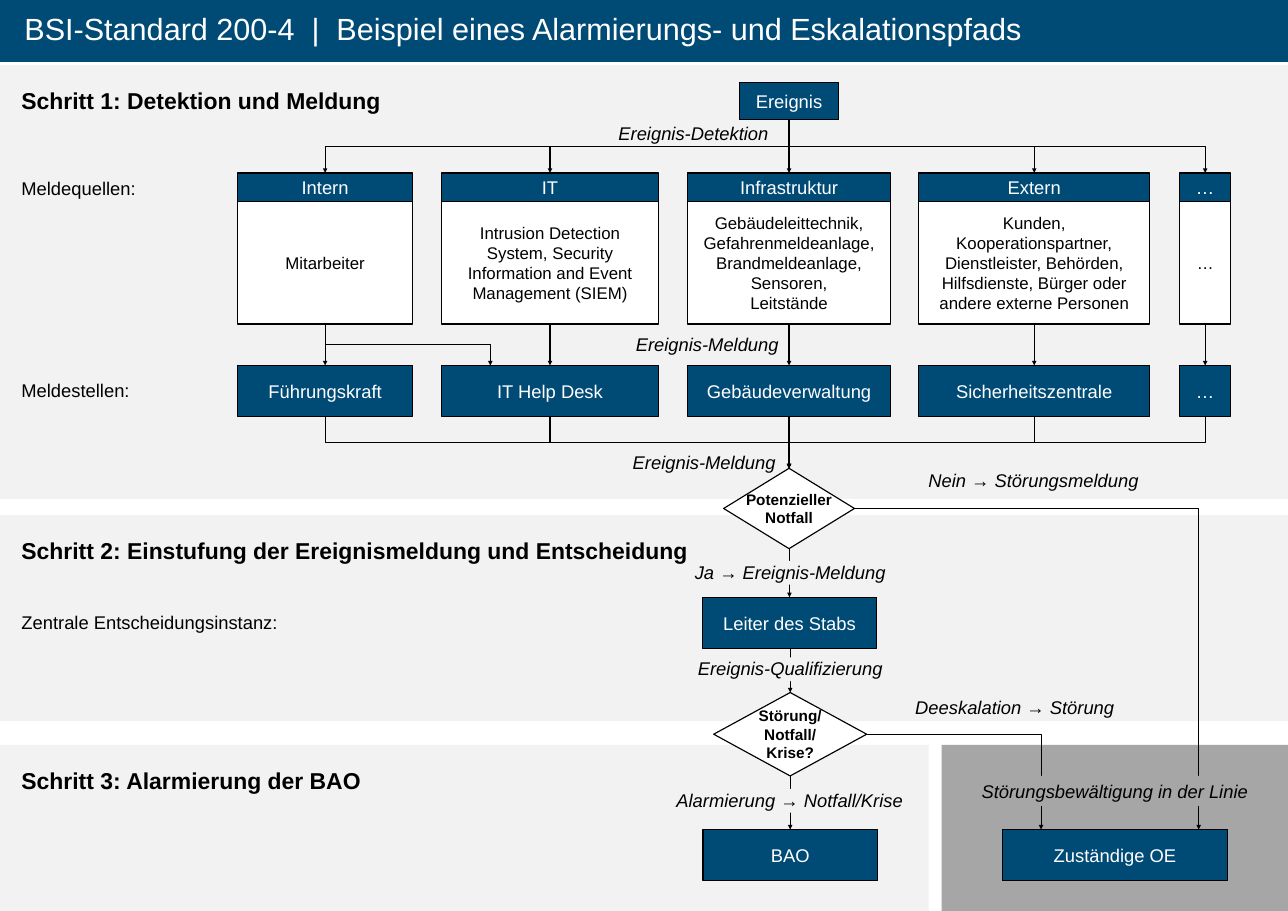
from dataclasses import dataclass
from typing import Any, Optional

from lxml import etree
from pptx import Presentation
from pptx import util as u
from pptx.dml.color import RGBColor
from pptx.enum import shapes, text
from pptx.oxml import ns

COLOURS = {"blue": "004B76", "pale": "F2F2F2", "grey": "A6A6A6",
           "white": "FFFFFF", "black": "000000"}
FORMATS: dict[str, dict[str, Any]] = {
    "title": {"size": u.Pt(40)},
    "step": {"size": u.Pt(30), "bold": True},
    "name": {"size": u.Pt(24)},
    "detail": {"size": u.Pt(22)},
    "question": {"size": u.Pt(20), "bold": True},
    "flow": {"size": u.Pt(24), "italic": True},
}
RECT = shapes.MSO_SHAPE.RECTANGLE
DIAMOND = shapes.MSO_SHAPE.FLOWCHART_DECISION
LEFT, CENTRE = text.PP_ALIGN.LEFT, text.PP_ALIGN.CENTER
TOP, MIDDLE = text.MSO_ANCHOR.TOP, text.MSO_ANCHOR.MIDDLE

PAGE_WIDTH, PAGE_HEIGHT = 1683.74, 1190.5
HEADER_TOP, DETAIL_TOP, DETAIL_BOTTOM = 226, 263.5, 423.5
DESK_TOP, BOX_HEIGHT, BOX_WIDTH = 477.5, 66.5, 228
DESK_BOTTOM = DESK_TOP + BOX_HEIGHT
LAST_TOP = 973.5
SIDE_INSET = 28


@dataclass
class Area:
    left: float
    top: float
    width: float
    height: float

    @property
    def right(self) -> float:
        return self.left + self.width

    @property
    def bottom(self) -> float:
        return self.top + self.height

    @property
    def centre(self) -> float:
        return self.left + self.width / 2

    @property
    def middle(self) -> float:
        return self.top + self.height / 2

    def lengths(self) -> list[u.Length]:
        return [u.Pt(v) for v in (self.left, self.top, self.width, self.height)]


@dataclass
class Panel:
    area: Area
    fill: str
    wording: str = ""


@dataclass
class Channel:
    """A source of reports and the desk that receives them."""
    left: float
    width: float
    source: str
    detail: str
    desk: str

    @property
    def centre(self) -> float:
        return self.left + self.width / 2


@dataclass
class Label:
    wording: str
    area: Area
    fill: Optional[str] = "pale"
    inset: float = 0


PANELS = [
    Panel(Area(0, 85, PAGE_WIDTH, 567), "pale", "Schritt 1: Detektion und Meldung"),
    Panel(Area(0, 673, PAGE_WIDTH, 269.5), "pale",
          "Schritt 2: Einstufung der Ereignismeldung und Entscheidung"),
    Panel(Area(0, LAST_TOP, 1214, PAGE_HEIGHT - LAST_TOP), "pale",
          "Schritt 3: Alarmierung der BAO"),
    Panel(Area(1231, LAST_TOP, PAGE_WIDTH - 1231, PAGE_HEIGHT - LAST_TOP), "grey"),
]
CHANNELS = [
    Channel(311, 228, "Intern", "Mitarbeiter", "Führungskraft"),
    Channel(577.5, 283, "IT", "Intrusion Detection System, Security Information "
            "and Event Management (SIEM)", "IT Help Desk"),
    Channel(899, 265, "Infrastruktur", "Gebäudeleittechnik, Gefahrenmeldeanlage,\n"
            "Brandmeldeanlage,\nSensoren,\nLeitstände", "Gebäudeverwaltung"),
    Channel(1201, 302, "Extern", "Kunden, Kooperationspartner, Dienstleister, Behörden, "
            "Hilfsdienste, Bürger oder andere externe Personen", "Sicherheitszentrale"),
    Channel(1542, 67, "…", "…", "…"),
]
EVENT = Area(967, 108, 129, 48)
EMERGENCY = Area(946, 612, 171, 105)
STAFF_HEAD = Area(918, 780.5, BOX_WIDTH, BOX_HEIGHT)
SEVERITY = Area(933, 905, 200, 109)
BAO = Area(919, 1084, BOX_WIDTH, BOX_HEIGHT)
LINE_UNIT = Area(1310.5, 1084, 294, BOX_HEIGHT)

FLOW_LABELS = [
    Label("Ereignis-Detektion", Area(804, 160, 205, 24.5)),
    Label("Ereignis-Meldung", Area(827, 436, 195, 24.5)),
    Label("Ereignis-Meldung", Area(823, 589, 195, 24.5)),
    Label("Nein → Störungsmeldung", Area(1208, 613.5, 286, 24.5)),
    Label("Ja → Ereignis-Meldung", Area(904, 733, 258, 31)),
    Label("Ereignis-Qualifizierung", Area(907, 859, 252, 31)),
    Label("Deeskalation → Störung", Area(1190, 906, 273, 46), None, 3.5),
    Label("Alarmierung → Notfall/Krise", Area(855.5, 1031, 353.5, 31)),
    Label("Störungsbewältigung in der Linie", Area(1266.5, 1014, 381.5, 39), "grey", 5.5),
]
SIDE_LABELS = [
    Label("Meldequellen:", Area(0, 227.5, 194, 36), None, 3.5),
    Label("Meldestellen:", Area(0, 492.5, 186, 36), None, 3.5),
    Label("Zentrale Entscheidungsinstanz:", Area(0, 795.5, 381, 36), None, 3.5),
]


def rgb(colour: str) -> RGBColor:
    return RGBColor.from_string(COLOURS[colour])


def write(box: Any, wording: str, style: str, colour: str = "black", align: Any = CENTRE,
          anchor: Any = MIDDLE, side: float = 9, top: float = 6, wrap: bool = True) -> None:
    frame = box.text_frame
    frame.text = wording
    layout = {"word_wrap": wrap, "vertical_anchor": anchor,
              "auto_size": text.MSO_AUTO_SIZE.NONE,
              "margin_left": u.Pt(side), "margin_right": u.Pt(min(side, 11.5)),
              "margin_top": u.Pt(top), "margin_bottom": u.Pt(top)}
    for key, value in layout.items():
        setattr(frame, key, value)
    for para in frame.paragraphs:
        para.alignment = align
        for span in para.runs:
            for key, value in {"name": "Arial", **FORMATS[style]}.items():
                setattr(span.font, key, value)
            span.font.color.rgb = rgb(colour)


def add_box(page: Any, area: Area, fill: str, outline: float = 0, kind: Any = RECT) -> Any:
    box = page.shapes.add_shape(kind, *area.lengths())
    box.shadow.inherit = False
    box.fill.solid()
    box.fill.fore_color.rgb = rgb(fill)
    if outline:
        box.line.color.rgb = rgb("black")
        box.line.width = u.Pt(outline)
    else:
        box.line.fill.background()
    return box


def add_name(page: Any, area: Area, wording: str, outline: float = 1.5) -> None:
    write(add_box(page, area, "blue", outline), wording, "name", "white")


def add_question(page: Any, area: Area, wording: str) -> None:
    box = add_box(page, area, "white", 1.5, DIAMOND)
    write(box, wording, "question", side=0, top=0, wrap=False)


def add_label(page: Any, label: Label, style: str, align: Any, side: float) -> None:
    if label.fill:
        box = add_box(page, label.area, label.fill)
    else:
        box = page.shapes.add_textbox(*label.area.lengths())
    write(box, label.wording, style, align=align, anchor=TOP, side=side,
          top=label.inset, wrap=False)


def add_arrow(page: Any, x1: float, y1: float, x2: float, y2: float,
              corner: bool = False) -> None:
    """Draw straight down, down-across-down, or with one corner across then down."""
    kind = shapes.MSO_CONNECTOR.STRAIGHT if x1 == x2 else shapes.MSO_CONNECTOR.ELBOW
    turned = x1 != x2 and not corner
    ends = (x1, y1, x2, y2)
    if turned:
        x, y = (x1 + x2) / 2, (y1 + y2) / 2
        across = (y2 - y1) / 2 * (1 if x2 > x1 else -1)
        down = abs(x2 - x1) / 2
        ends = (x + across, y - down, x - across, y + down)
    arrow = page.shapes.add_connector(kind, *[u.Pt(v) for v in ends])
    arrow.line.color.rgb = rgb("black")
    arrow.line.width = u.Pt(1.5)
    props = arrow._element.spPr
    if turned:
        props.find(ns.qn("a:xfrm")).set("rot", str((270 if x2 > x1 else 90) * 60000))
    if corner:
        props.find(ns.qn("a:prstGeom")).set("prst", "bentConnector2")
    etree.SubElement(props.find(ns.qn("a:ln")), ns.qn("a:tailEnd"), type="triangle")
    etree.SubElement(props, ns.qn("a:effectLst"))


def add_channel(page: Any, channel: Channel) -> None:
    left, width, x = channel.left, channel.width, channel.centre
    detail = add_box(page, Area(left, DETAIL_TOP, width, DETAIL_BOTTOM - DETAIL_TOP),
                     "white", 1.5)
    write(detail, channel.detail, "detail", side=11.5)
    add_name(page, Area(left, HEADER_TOP, width, DETAIL_TOP - HEADER_TOP), channel.source)
    add_name(page, Area(left, DESK_TOP, width, BOX_HEIGHT), channel.desk)
    add_arrow(page, EVENT.centre, EVENT.bottom, x, HEADER_TOP)
    add_arrow(page, x, DETAIL_BOTTOM, x, DESK_TOP)
    add_arrow(page, x, DESK_BOTTOM, EMERGENCY.centre, EMERGENCY.top)


def main() -> None:
    deck = Presentation()
    deck.slide_width, deck.slide_height = u.Pt(PAGE_WIDTH), u.Pt(PAGE_HEIGHT)
    page = deck.slides.add_slide(deck.slide_layouts[6])

    banner = add_box(page, Area(0, 0, PAGE_WIDTH, 81), "blue")
    write(banner, "BSI-Standard 200-4  |  Beispiel eines Alarmierungs- und Eskalationspfads",
          "title", "white", LEFT, side=32, top=0)
    banner.text_frame.paragraphs[0].line_spacing = 0.9
    for panel in PANELS:
        box = add_box(page, panel.area, panel.fill)
        if panel.wording:
            write(box, panel.wording, "step", align=LEFT, anchor=TOP, side=SIDE_INSET, top=28)

    add_name(page, EVENT, "Ereignis", 1)
    for channel in CHANNELS:
        add_channel(page, channel)
    add_arrow(page, CHANNELS[0].centre, DETAIL_BOTTOM, 641, DESK_TOP)
    add_question(page, EMERGENCY, "Potenzieller\vNotfall")
    add_name(page, STAFF_HEAD, "Leiter des Stabs")
    add_question(page, SEVERITY, "Störung/\vNotfall/\vKrise?")
    add_name(page, BAO, "BAO")
    add_name(page, LINE_UNIT, "Zuständige OE")

    for upper, lower in ((EMERGENCY, STAFF_HEAD), (STAFF_HEAD, SEVERITY), (SEVERITY, BAO)):
        add_arrow(page, lower.centre, upper.bottom, lower.centre, lower.top)
    for question, x in ((EMERGENCY, 1567), (SEVERITY, 1361)):
        add_arrow(page, question.right, question.middle, x, LINE_UNIT.top, corner=True)

    for label in FLOW_LABELS:
        add_label(page, label, "flow", CENTRE, 0)
    for label in SIDE_LABELS:
        add_label(page, label, "name", LEFT, SIDE_INSET)
    deck.save("out.pptx")


if __name__ == "__main__":
    main()
